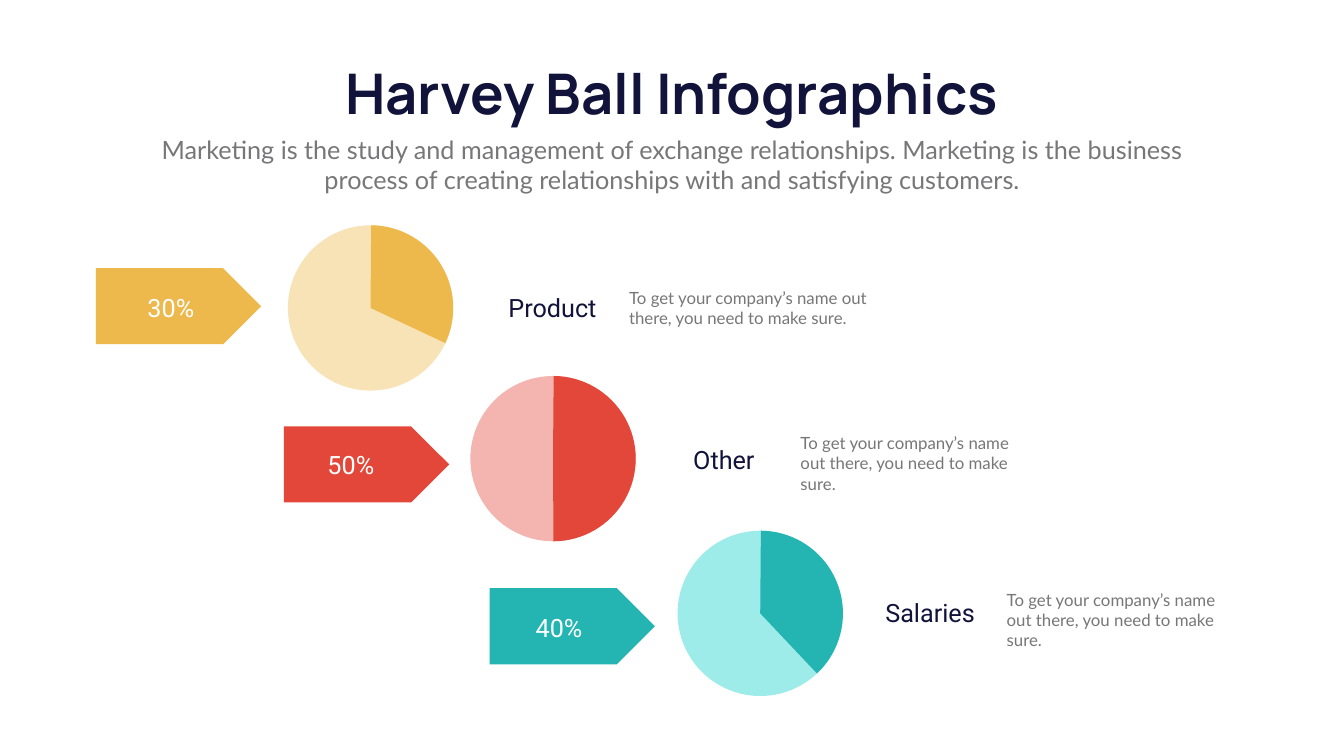
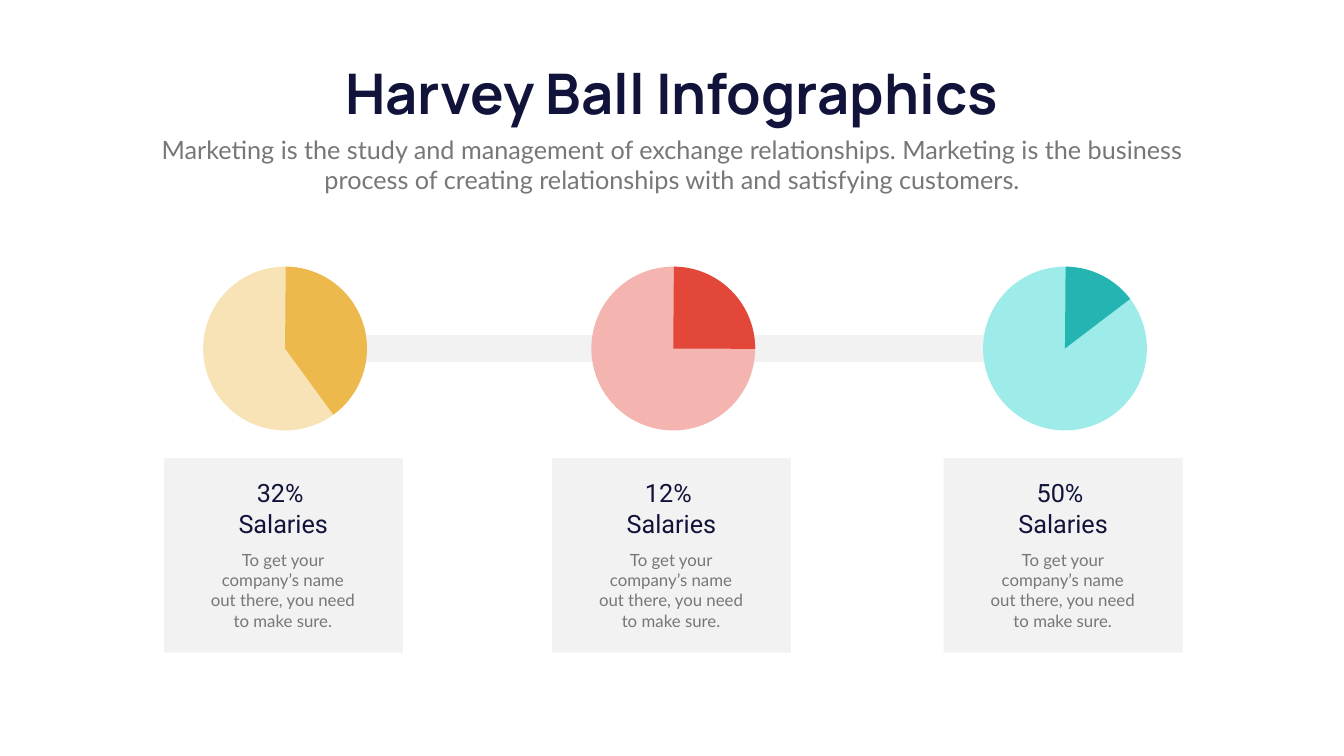
from pptx import Presentation
from pptx.dml.color import RGBColor
from pptx.enum import shapes, text
from pptx.util import Inches, Pt

TITLE = "Harvey Ball Infographics"
INTRO = ("Marketing is the study and management of exchange relationships. "
         "Marketing is the business process of creating relationships with "
         "and satisfying customers.")
BLURB = "To get your company’s name out there, you need to make sure."

COLORS = {
    "navy": "11133A", "grey": "777678", "panel": "F2F2F2", "white": "FFFFFF",
    "yellow": "EEB94C", "yellow_light": "F8E3B7",
    "red": "E34739", "red_light": "F4B5B0",
    "teal": "24B5B2", "teal_light": "9DECEA",
}
STYLES = {
    "title": ("Manrope", 80, "navy", True),
    "intro": ("Lato", 36, "grey", False),
    "blurb": ("Lato", 24, "grey", False),
    "label": ("Roboto", 36, "navy", False),
    "percent": ("Roboto", 36, "white", False),
}

STEPS = [
    dict(color="yellow", end=25.18, ball=(5.71, 4.47), arrow=(1.9, 5.32),
         percent="30%", percent_at=(1.76, 5.75), label="Product",
         label_at=(9.33, 5.76), blurb_at=(12.38, 5.65, 5.39)),
    dict(color="red", end=89.69, ball=(9.33, 7.46), arrow=(5.63, 8.46),
         percent="50%", percent_at=(5.33, 8.86), label="Other",
         label_at=(12.73, 8.76), blurb_at=(15.78, 8.54, 4.91)),
    dict(color="teal", end=46.67, ball=(13.44, 10.53), arrow=(9.71, 11.67),
         percent="40%", percent_at=(9.46, 12.1), label="Salaries",
         label_at=(16.82, 11.81), blurb_at=(19.87, 11.65, 4.91)),
]
CARDS = [
    ("yellow", 53.88, 3.25, ["32% ", "Salaries"]),
    ("red", 0.23, 10.95, ["12% ", "Salaries"]),
    ("teal", 322.72, 18.72, ["50% ", "Salaries"]),
]

START_ANGLE = 270.45
ADJUST_PER_DEGREE = 0.6
LABEL_W = 3.26
CENTER = text.PP_ALIGN.CENTER
LEFT = text.PP_ALIGN.LEFT


def rgb(name):
    return RGBColor.from_string(COLORS[name])


def add_block(s, kind, x, y, w, h, color):
    sp = s.shapes.add_shape(kind, Inches(x), Inches(y), Inches(w), Inches(h))
    sp.shadow.inherit = False
    sp.fill.solid()
    sp.fill.fore_color.rgb = rgb(color)
    sp.line.fill.background()
    return sp


def write(sp, lines, style, align=CENTER, wrap=True):
    font, size, color, bold = STYLES[style]
    tf = sp.text_frame
    tf.word_wrap = wrap
    tf.auto_size = text.MSO_AUTO_SIZE.SHAPE_TO_FIT_TEXT
    tf.vertical_anchor = text.MSO_ANCHOR.TOP
    for i, line in enumerate(lines):
        p = tf.add_paragraph() if i else tf.paragraphs[0]
        p.alignment = align
        r = p.add_run()
        r.text = line
        r.font.name = font
        r.font.size = Pt(size)
        r.font.bold = bold
        r.font.color.rgb = rgb(color)


def add_text(s, x, y, w, h, lines, style, align=CENTER):
    sp = s.shapes.add_textbox(Inches(x), Inches(y), Inches(w), Inches(h))
    write(sp, lines, style, align)


def add_ball(s, x, y, size, color, end):
    add_block(s, shapes.MSO_SHAPE.OVAL, x, y, size, size, color + "_light")
    pie = add_block(s, shapes.MSO_SHAPE.PIE, x, y, size, size, color)
    for i, angle in enumerate((START_ANGLE, end)):
        pie.adjustments[i] = angle * ADJUST_PER_DEGREE


def new_slide(prs):
    s = prs.slides.add_slide(prs.slide_layouts[5])
    title = s.shapes.title
    title.left, title.top = Inches(6.14), Inches(1.12)
    title.width, title.height = Inches(14.37), Inches(1.45)
    write(title, [TITLE], "title", wrap=False)
    add_text(s, 2.92, 2.61, 20.82, 1.31, [INTRO], "intro")
    return s


def build_steps(prs):
    s = new_slide(prs)
    for step in STEPS:
        add_ball(s, *step["ball"], 3.28, step["color"], step["end"])
        add_block(s, shapes.MSO_SHAPE.PENTAGON, *step["arrow"], 3.28, 1.51, step["color"])
        add_text(s, *step["blurb_at"], 0.91, [BLURB], "blurb", LEFT)
        add_text(s, *step["label_at"], LABEL_W, 0.71, [step["label"]], "label")
        add_text(s, *step["percent_at"], LABEL_W, 0.71, [step["percent"]], "percent")


def build_cards(prs):
    s = new_slide(prs)
    add_block(s, shapes.MSO_SHAPE.RECTANGLE, 6.81, 6.65, 13.05, 0.53, "panel")
    for color, end, x, lines in CARDS:
        add_ball(s, x + 0.78, 5.29, 3.25, color, end)
        add_block(s, shapes.MSO_SHAPE.RECTANGLE, x, 9.09, 4.74, 3.86, "panel")
        add_text(s, x + 0.74, 9.43, LABEL_W, 1.31, lines, "label")
        add_text(s, x + 0.79, 10.86, 3.14, 1.72, [BLURB], "blurb")


def main():
    prs = Presentation()
    prs.slide_width, prs.slide_height = Inches(26.66), Inches(15)
    build_steps(prs)
    build_cards(prs)
    prs.save("out.pptx")


if __name__ == "__main__":
    main()
